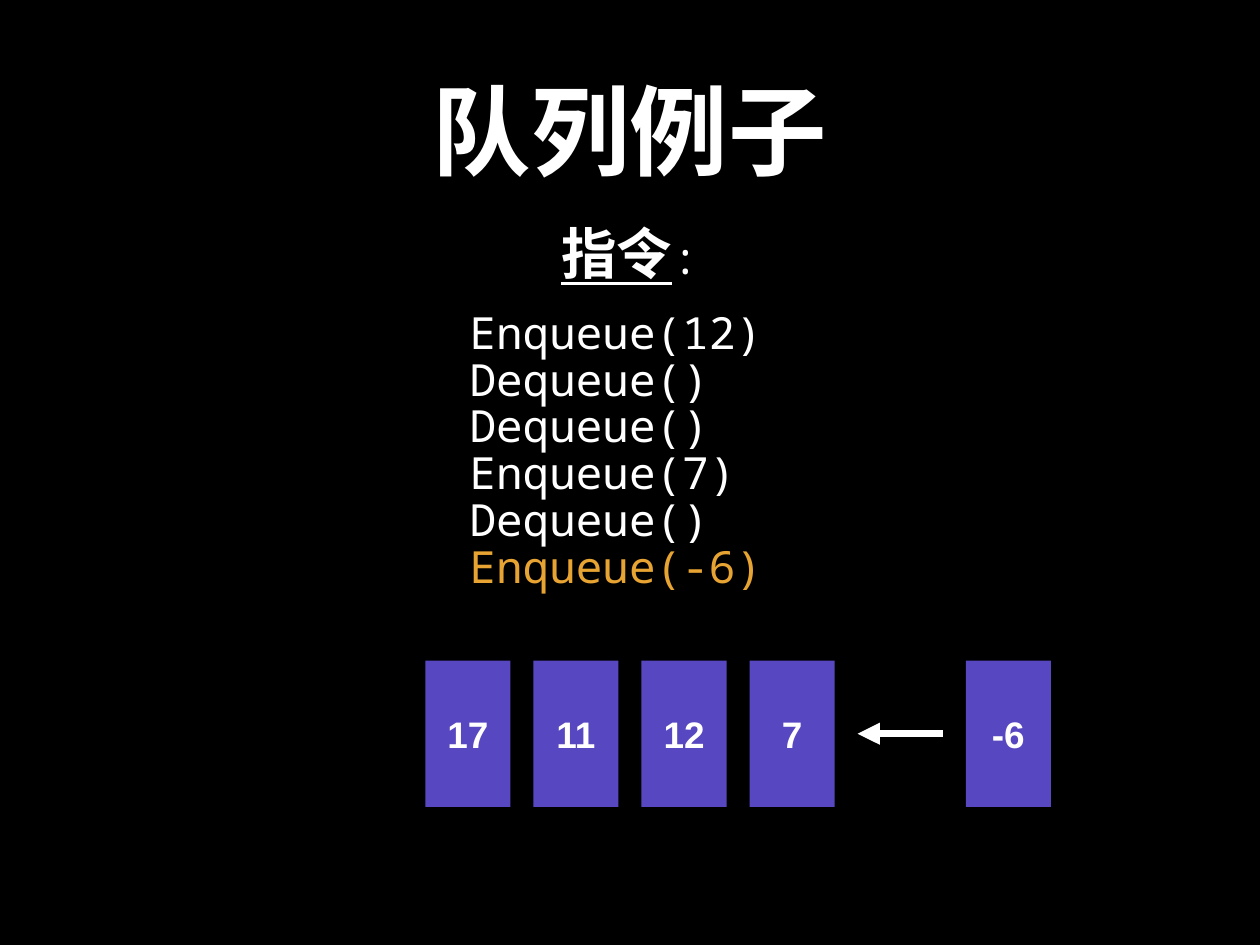
from pptx import Presentation
from pptx.dml.color import RGBColor
from pptx.enum.shapes import MSO_CONNECTOR as Connector, MSO_SHAPE as Shape
from pptx.enum.text import MSO_ANCHOR as Anchor, MSO_AUTO_SIZE as AutoSize, PP_ALIGN as Align
from pptx.oxml.ns import qn
from pptx.util import Inches, Pt
from lxml.etree import SubElement

COLOURS = {"background": "000000", "text": "FFFFFF", "current": "E8A432", "cell": "5747C1"}
COMMANDS = ["Enqueue(12)", "Dequeue()", "Dequeue()", "Enqueue(7)", "Dequeue()", "Enqueue(-6)"]
QUEUE = {0: "17", 1: "11", 2: "12", 3: "7", 5: "-6"}
ARROW_SLOT = 4
QUEUE_LEFT, QUEUE_TOP, SLOT_PITCH = 4.8, 7.46, 1.22
CELL_WIDTH, CELL_HEIGHT = 0.96, 1.65


class QueueSlide:
    """Hold the style and the slide, and draw each kind of element."""

    text_font = "Noto Sans Mono"
    cell_font = "Arial"

    def __init__(self, presentation):
        """Add a title-only slide with a plain background."""
        self.slide = presentation.slides.add_slide(presentation.slide_layouts[5])
        fill = self.slide.background.fill
        fill.solid()
        fill.fore_color.rgb = self.colour("background")

    def colour(self, name):
        """Return a named colour."""
        return RGBColor.from_string(COLOURS[name])

    def frame(self, shape, wrap=True):
        """Set the margins and anchor of a shape's text."""
        frame = shape.text_frame
        frame.margin_left = frame.margin_right = Inches(0.06)
        frame.margin_top = frame.margin_bottom = Inches(0.06)
        frame.vertical_anchor = Anchor.MIDDLE
        frame.auto_size = AutoSize.NONE
        frame.word_wrap = wrap
        return frame

    def style(self, font, size, bold=False, name=text_font, colour="text"):
        """Format a font."""
        font.name, font.size, font.bold = name, Pt(size), bold
        font.color.rgb = self.colour(colour)

    def title(self, text):
        """Place and format the title placeholder."""
        shape = self.slide.shapes.title
        shape.left, shape.top = Inches(1.04), Inches(0.28)
        shape.width, shape.height = Inches(12.14), Inches(2.36)
        paragraph = self.frame(shape).paragraphs[0]
        paragraph.text = text
        paragraph.alignment = Align.CENTER
        self.style(paragraph.font, 80, bold=True)

    def text_box(self, left, top, width, height, wrap=True):
        """Add a text box and return its text frame."""
        box = self.slide.shapes.add_textbox(
            Inches(left), Inches(top), Inches(width), Inches(height))
        return self.frame(box, wrap)

    def heading(self, label, mark):
        """Add an underlined label followed by a plain mark."""
        paragraph = self.text_box(0.36, 2.42, 13.5, 0.87).paragraphs[0]
        paragraph.alignment = Align.CENTER
        for text, size, strong in ((label, 45, True), (mark, 36, False)):
            run = paragraph.add_run()
            run.text = text
            self.style(run.font, size, bold=strong)
            run.font.underline = strong

    def commands(self, lines):
        """List the commands, with the last one highlighted."""
        frame = self.text_box(5.24, 3.34, 3.74, 3.53, wrap=False)
        frame.text = "\n".join(lines)
        for paragraph in frame.paragraphs:
            paragraph.alignment = Align.LEFT
            paragraph.line_spacing = 0.88
            self.style(paragraph.font, 36)
        paragraph.font.color.rgb = self.colour("current")

    def cell(self, slot, value):
        """Add a queue cell in a slot."""
        shape = self.slide.shapes.add_shape(
            Shape.RECTANGLE, Inches(QUEUE_LEFT + slot * SLOT_PITCH), Inches(QUEUE_TOP),
            Inches(CELL_WIDTH), Inches(CELL_HEIGHT))
        shape.shadow.inherit = False
        shape.fill.solid()
        shape.fill.fore_color.rgb = self.colour("cell")
        shape.line.fill.background()
        paragraph = self.frame(shape).paragraphs[0]
        paragraph.text = value
        paragraph.alignment = Align.CENTER
        self.style(paragraph.font, 30, bold=True, name=self.cell_font)

    def arrow(self, slot):
        """Add an arrow pointing left across a slot."""
        left = QUEUE_LEFT + slot * SLOT_PITCH
        middle = Inches(QUEUE_TOP + CELL_HEIGHT / 2)
        connector = self.slide.shapes.add_connector(
            Connector.STRAIGHT, Inches(left + CELL_WIDTH), middle, Inches(left), middle)
        connector.line.color.rgb = self.colour("text")
        connector.line.width = Pt(6)
        SubElement(connector.line._get_or_add_ln(), qn("a:tailEnd"), type="triangle")
        SubElement(connector._element.spPr, qn("a:effectLst"))


def main():
    """Build the slide and save it."""
    presentation = Presentation()
    presentation.slide_width = Inches(14.22)
    presentation.slide_height = Inches(10.67)
    queue_slide = QueueSlide(presentation)
    queue_slide.title("队列例子")
    queue_slide.heading("指令", ":")
    queue_slide.commands(COMMANDS)
    for slot, value in QUEUE.items():
        queue_slide.cell(slot, value)
    queue_slide.arrow(ARROW_SLOT)
    presentation.save("out.pptx")


if __name__ == "__main__":
    main()
